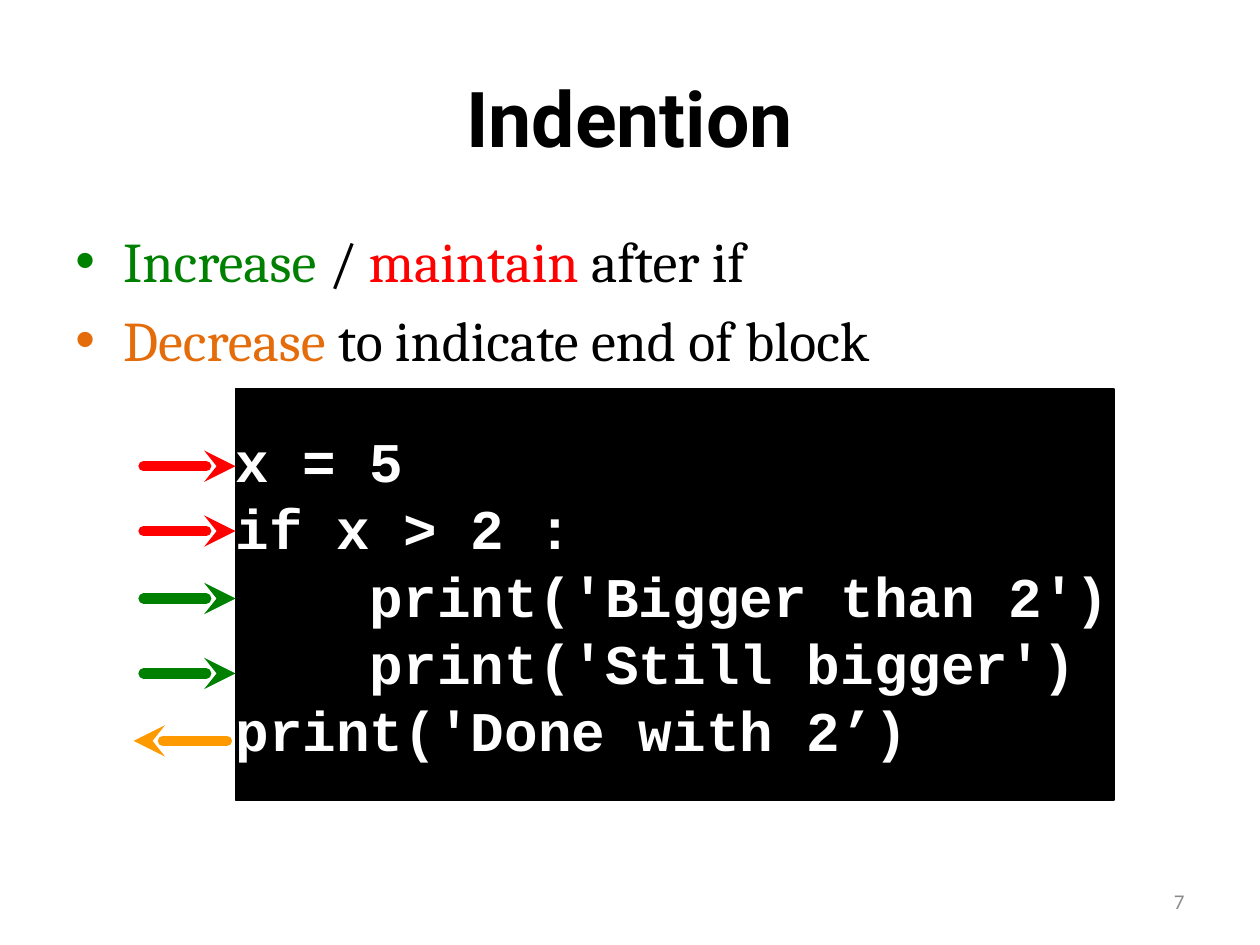
"""Build the slide on how indentation marks a block of code."""
from dataclasses import dataclass

import pptx
import pptx.dml.color
import pptx.enum.shapes
import pptx.enum.text
import pptx.oxml
import pptx.oxml.ns
import pptx.util

RGBColor = pptx.dml.color.RGBColor
Align = pptx.enum.text.PP_ALIGN
Anchor = pptx.enum.text.MSO_ANCHOR

BLACK = RGBColor(0x00, 0x00, 0x00)
WHITE = RGBColor(0xFF, 0xFF, 0xFF)
GRAY = RGBColor(0x8C, 0x8C, 0x8C)
GREEN = RGBColor(0x00, 0x80, 0x00)
RED = RGBColor(0xFF, 0x00, 0x00)
BROWN = RGBColor(0xE4, 0x6C, 0x0A)
ORANGE = RGBColor(0xFF, 0x99, 0x00)

CELL = pptx.util.Inches(0.1)
COLUMNS, ROWS = 100, 75
BULLET_INDENT = pptx.util.Inches(0.38)
CODE_LEFT, ARROW_LENGTH = 18.7, 7.3


@dataclass(frozen=True)
class Area:
    """A rectangle in grid columns and rows."""
    column: float
    row: float
    width: float
    height: float

    def lengths(self) -> list[int]:
        """Return left, top, width and height as slide lengths."""
        return [round(n * CELL) for n in (self.column, self.row, self.width, self.height)]


@dataclass(frozen=True)
class Span:
    """A stretch of text in one colour."""
    text: str
    color: RGBColor


@dataclass(frozen=True)
class Arrow:
    """A horizontal arrow from its tip to its tail."""
    tip: float
    tail: float
    row: float
    color: RGBColor


TITLE = [[Span("Indention", BLACK)]]
NUMBER = [[Span("7", GRAY)]]
BULLETS = [
    [Span("Increase", GREEN), Span(" / ", BLACK), Span("maintain ", RED), Span("after if", BLACK)],
    [Span("Decrease", BROWN), Span(" to indicate end of block", BLACK)],
]
CODE = """x = 5
if x > 2 :
    print('Bigger than 2')
    print('Still bigger')
print('Done with 2’)"""
ARROWS = [
    Arrow(CODE_LEFT, CODE_LEFT - ARROW_LENGTH, row, color)
    for row, color in ((37, RED), (42.15, RED), (47.5, GREEN), (53.45, GREEN))
] + [Arrow(10.6, 18, 58.8, ORANGE)]


def add_bullet(para) -> None:
    """Give a paragraph a hanging round bullet."""
    properties = para._p.get_or_add_pPr()
    properties.set("marL", str(BULLET_INDENT))
    properties.set("indent", str(-BULLET_INDENT))
    namespace = pptx.oxml.ns.nsdecls("a")
    properties.append(pptx.oxml.parse_xml(f'<a:buFont {namespace} typeface="Arial"/>'))
    properties.append(pptx.oxml.parse_xml(f'<a:buChar {namespace} char="•"/>'))


def write_text(box, text: list[list[Span]], *, font: str, size: float, bold: bool = False,
               align=Align.LEFT, anchor=Anchor.MIDDLE, bullets: bool = False,
               margin: float | None = None, space: float = 0) -> None:
    """Fill a box with paragraphs of coloured spans."""
    frame = box.text_frame
    frame.word_wrap = True
    frame.vertical_anchor = anchor
    if margin is not None:
        frame.margin_left = frame.margin_right = pptx.util.Pt(margin)
        frame.margin_top = frame.margin_bottom = pptx.util.Pt(margin)
    for index, spans in enumerate(text):
        para = frame.add_paragraph() if index else frame.paragraphs[0]
        para.alignment = align
        if index and space:
            para.space_before = pptx.util.Pt(space)
        if bullets:
            add_bullet(para)
        for span in spans:
            run = para.add_run()
            run.text = span.text
            run.font.name = font
            run.font.size = pptx.util.Pt(size)
            run.font.bold = bold
            run.font.color.rgb = span.color


def add_text(page, area: Area, text: list[list[Span]], **text_format) -> None:
    """Add a text box with formatted text."""
    write_text(page.shapes.add_textbox(*area.lengths()), text, **text_format)


def add_code(page, area: Area, code: str) -> None:
    """Add a black panel of white code."""
    panel = page.shapes.add_shape(pptx.enum.shapes.MSO_SHAPE.RECTANGLE, *area.lengths())
    panel.shadow.inherit = False
    panel.fill.solid()
    panel.fill.fore_color.rgb = BLACK
    panel.line.color.rgb = BLACK
    panel.line.width = pptx.util.Pt(1)
    lines = [[Span(line, WHITE)] for line in code.splitlines()]
    write_text(panel, lines, font="Courier New", size=32, bold=True, margin=0)


def add_arrow(page, arrow: Arrow) -> None:
    """Add a thick round-capped line with a stealth head at its tip."""
    tip, tail, row = (round(n * CELL) for n in (arrow.tip, arrow.tail, arrow.row))
    line = page.shapes.add_connector(pptx.enum.shapes.MSO_CONNECTOR.STRAIGHT, tip, row, tail, row)
    line.line.color.rgb = arrow.color
    line.line.width = pptx.util.Pt(6)
    namespace = pptx.oxml.ns.nsdecls("a")
    outline = line.line._get_or_add_ln()
    outline.set("cap", "rnd")
    outline.append(pptx.oxml.parse_xml(f'<a:headEnd {namespace} type="stealth"/>'))
    line._element.spPr.append(pptx.oxml.parse_xml(f"<a:effectLst {namespace}/>"))


def main() -> None:
    """Build and save the deck."""
    deck = pptx.Presentation()
    deck.slide_width, deck.slide_height = COLUMNS * CELL, ROWS * CELL
    page = deck.slides.add_slide(deck.slide_layouts[6])
    add_text(page, Area(5, 3, 90, 12.5), TITLE, font="Roboto", size=44, bold=True,
             align=Align.CENTER)
    add_text(page, Area(71.7, 69.5, 23.3, 4), NUMBER, font="Calibri", size=12, align=Align.RIGHT)
    add_text(page, Area(5, 17.5, 90, 49.5), BULLETS, font="Cambria", size=32,
             anchor=Anchor.TOP, bullets=True, space=6.4)
    add_code(page, Area(CODE_LEFT, 30.9, 69.7, 32.6), CODE)
    for arrow in ARROWS:
        add_arrow(page, arrow)
    deck.save("out.pptx")


if __name__ == "__main__":
    main()
